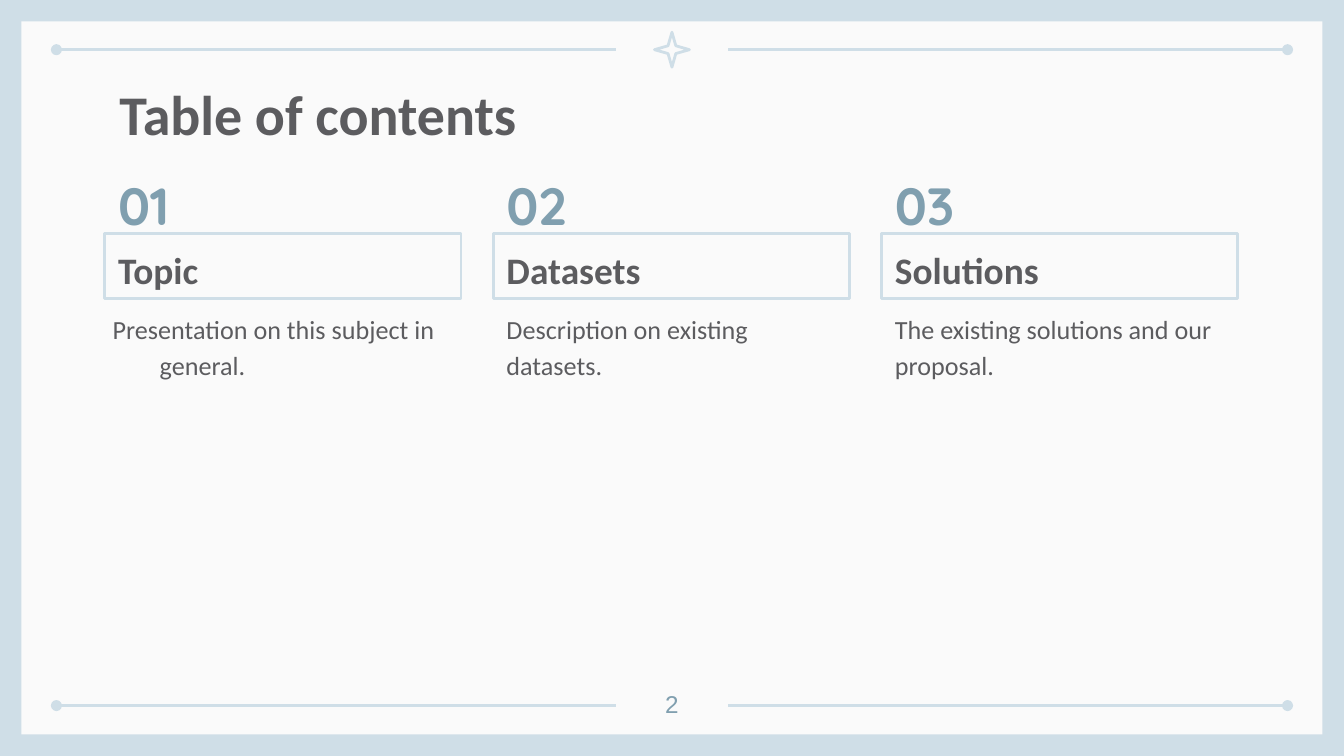
"""Build a table-of-contents slide with three numbered sections."""
from lxml import etree
from pptx import Presentation
from pptx.dml.color import RGBColor
from pptx.enum.shapes import MSO_CONNECTOR, MSO_SHAPE
from pptx.enum.text import MSO_ANCHOR, PP_ALIGN
from pptx.oxml.ns import qn
from pptx.util import Inches, Pt

RECTANGLE, STAR = MSO_SHAPE.RECTANGLE, MSO_SHAPE.STAR_4_POINT
STRAIGHT = MSO_CONNECTOR.STRAIGHT
TOP, MIDDLE = MSO_ANCHOR.TOP, MSO_ANCHOR.MIDDLE
LEFT, CENTER = PP_ALIGN.LEFT, PP_ALIGN.CENTER

COLORS = {"frame": "CFDEE7", "paper": "FAFAFA", "ink": "5C5C5F", "accent": "809FAF"}
SECTIONS = [
    ("Topic", "Presentation on this subject in general."),
    ("Datasets", "Description on existing datasets."),
    ("Solutions", "The existing solutions and our proposal."),
]
SLIDE_WIDTH = 10
SLIDE_HEIGHT = SLIDE_WIDTH * 9 / 16
MARGIN = 0.16
COLUMN_LEFT, COLUMN_STEP, COLUMN_WIDTH = 0.78, 2.89, 2.65


def color(name):
    return RGBColor.from_string(COLORS[name])


def add_panel(slide, kind, box, fill=None, outline=None):
    panel = slide.shapes.add_shape(kind, *map(Inches, box))
    panel.shadow.inherit = False
    if fill:
        panel.fill.solid()
        panel.fill.fore_color.rgb = color(fill)
    else:
        panel.fill.background()
    if outline:
        panel.line.color.rgb = color(outline)
        panel.line.width = Pt(1.5)
    else:
        panel.line.fill.background()
    return panel


def write(holder, text, size, ink="ink", font="Calibri", bold=False,
          anchor=TOP, align=LEFT, spacing=1.15):
    frame = holder.text_frame
    frame.word_wrap = True
    frame.vertical_anchor = anchor
    frame.margin_left = frame.margin_right = Inches(0.1)
    frame.margin_top = frame.margin_bottom = Inches(0.1)
    frame.text = text
    paragraph = frame.paragraphs[0]
    paragraph.alignment = align
    paragraph.line_spacing = spacing
    style = paragraph.runs[0].font
    style.name, style.size, style.bold = font, Pt(size), bold
    style.color.rgb = color(ink)
    return paragraph


def add_label(slide, box, text, size, **style):
    return write(slide.shapes.add_textbox(*map(Inches, box)), text, size, **style)


def add_rule(slide, y, start, end, dotted_end):
    rule = slide.shapes.add_connector(
        STRAIGHT, Inches(start), Inches(y), Inches(end), Inches(y))
    rule.line.color.rgb = color("frame")
    rule.line.width = Pt(1.5)
    etree.SubElement(rule.line._get_or_add_ln(), qn(f"a:{dotted_end}"), type="oval")
    etree.SubElement(rule._element.spPr, qn("a:effectLst"))


def add_frame(slide):
    slide.background.fill.solid()
    slide.background.fill.fore_color.rgb = color("frame")
    add_panel(slide, RECTANGLE, (MARGIN, MARGIN, SLIDE_WIDTH - 2 * MARGIN,
                                 SLIDE_HEIGHT - 2 * MARGIN), fill="paper")
    for y in (0.37, 5.25):
        add_rule(slide, y, 0.42, 4.58, "headEnd")
        add_rule(slide, y, SLIDE_WIDTH - 4.58, SLIDE_WIDTH - 0.42, "tailEnd")
    star = add_panel(slide, STAR, (4.87, 0.24, 0.26, 0.26), outline="frame")
    star.adjustments[0] = 0.157


def add_section(slide, index, heading, description):
    left = COLUMN_LEFT + index * COLUMN_STEP
    add_label(slide, (left, 1.25, 0.72, 0.48), f"{index + 1:02}", 28,
              ink="accent", font="Quicksand", bold=True, anchor=MIDDLE)
    heading_box = add_panel(slide, RECTANGLE, (left, 1.74, COLUMN_WIDTH, 0.48),
                            outline="frame")
    write(heading_box, heading, 20, bold=True, anchor=MIDDLE)
    if index == 0:
        paragraph = add_label(slide, (0.59, 2.2, 2.84, 0.59), description, 14)
        properties = paragraph._p.get_or_add_pPr()
        properties.set("marL", str(Inches(0.5)))
        properties.set("indent", str(Inches(-0.35)))
    else:
        add_label(slide, (left, 2.2, COLUMN_WIDTH, 0.59), description, 14)


def main():
    deck = Presentation()
    deck.slide_width, deck.slide_height = Inches(SLIDE_WIDTH), Inches(SLIDE_HEIGHT)
    slide = deck.slides.add_slide(deck.slide_layouts[6])
    add_frame(slide)
    add_label(slide, (0.79, 0.49, 8.43, 0.63), "Table of contents", 30,
              bold=True, spacing=1.0)
    for index, (heading, description) in enumerate(SECTIONS):
        add_section(slide, index, heading, description)
    add_label(slide, (4.7, 5.03, 0.6, 0.36), "2", 13, ink="accent",
              font="Arial", align=CENTER, spacing=1.0)
    deck.save("out.pptx")


if __name__ == "__main__":
    main()
